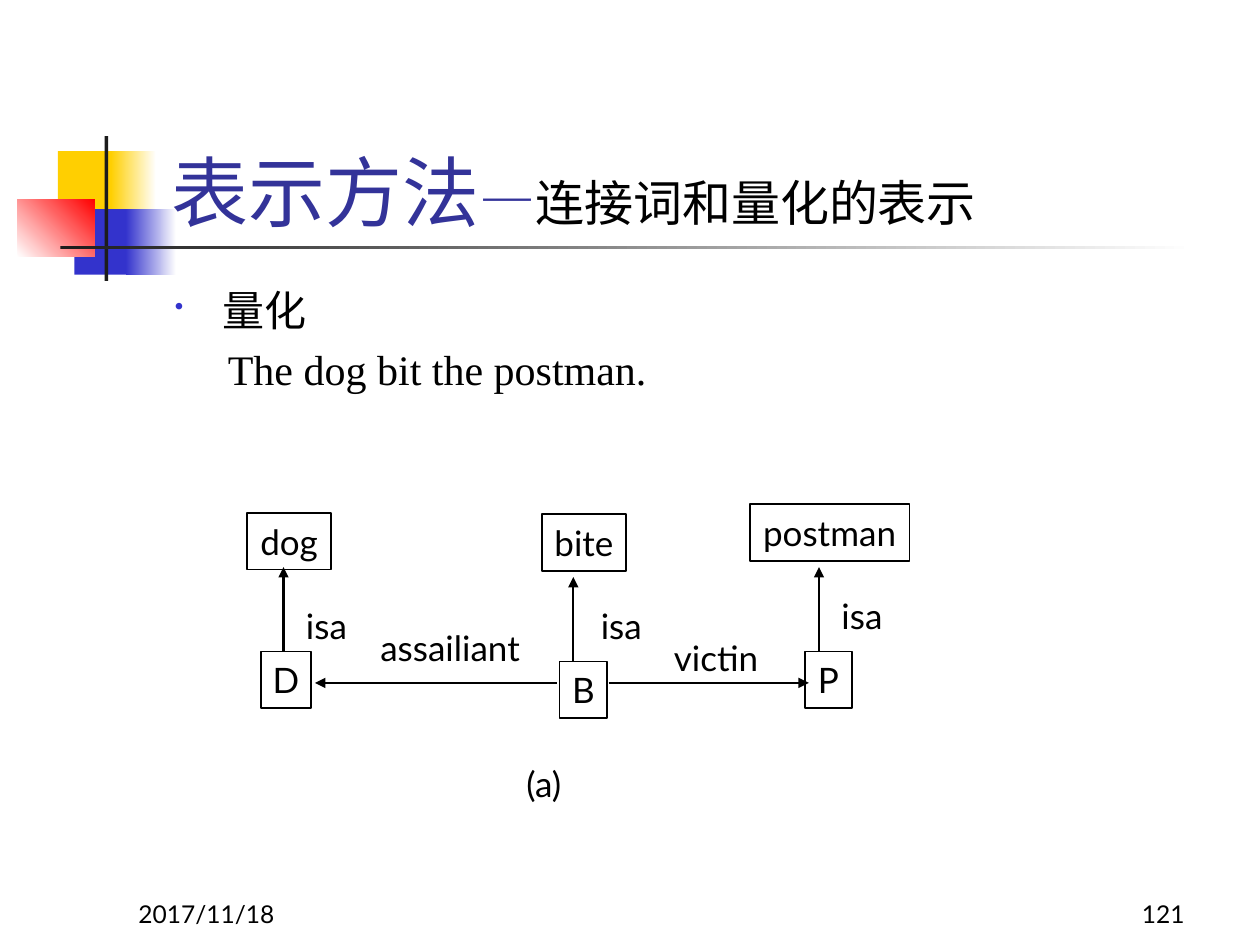
from dataclasses import dataclass

from lxml import etree
from pptx import Presentation
from pptx.dml.color import RGBColor
from pptx.enum.shapes import MSO_CONNECTOR, MSO_SHAPE
from pptx.enum.text import MSO_ANCHOR, PP_ALIGN
from pptx.oxml.ns import qn
from pptx.util import Inches, Pt

RECTANGLE = MSO_SHAPE.RECTANGLE
STRAIGHT = MSO_CONNECTOR.STRAIGHT
TOP, MIDDLE, BOTTOM = MSO_ANCHOR.TOP, MSO_ANCHOR.MIDDLE, MSO_ANCHOR.BOTTOM
LEFT, CENTER, RIGHT = PP_ALIGN.LEFT, PP_ALIGN.CENTER, PP_ALIGN.RIGHT


@dataclass(frozen=True)
class Theme:
    font: str = "Lato"
    body_font: str = "Times New Roman"
    ink: str = "000000"
    paper: str = "FFFFFF"
    title: str = "333399"
    yellow: str = "FFCF01"
    blue: str = "3333CC"
    red: str = "FF0000"
    dark: str = "1C1C1C"
    title_size: int = 44
    dash_size: int = 32
    subtitle_size: int = 28
    body_size: int = 24
    label_size: int = 20
    footer_size: int = 14


class SlideBuilder:
    def __init__(self, slide, theme):
        self.slide = slide
        self.theme = theme

    def style(self, run, size, color=None, font=None):
        run.font.size = Pt(size)
        run.font.name = font or self.theme.font
        run.font.color.rgb = RGBColor.from_string(color or self.theme.ink)

    def rectangle(self, left, top, width, height):
        rectangle = self.slide.shapes.add_shape(
            RECTANGLE, Inches(left), Inches(top), Inches(width), Inches(height))
        rectangle.shadow.inherit = False
        return rectangle

    def block(self, box, *colors, angle=0):
        block = self.rectangle(*box)
        block.line.fill.background()
        if len(colors) == 1:
            block.fill.solid()
            block.fill.fore_color.rgb = RGBColor.from_string(colors[0])
            return
        block.fill.gradient()
        block.fill.gradient_angle = angle
        for stop, color in zip(block.fill.gradient_stops, colors):
            stop.color.rgb = RGBColor.from_string(color)

    def node(self, word, left, top, width):
        node = self.rectangle(left, top, width, 0.45)
        node.fill.background()
        node.line.color.rgb = RGBColor.from_string(self.theme.ink)
        node.line.width = Pt(1)
        frame = node.text_frame
        frame.word_wrap = False
        frame.vertical_anchor = MIDDLE
        frame.text = word
        paragraph = frame.paragraphs[0]
        paragraph.alignment = CENTER
        self.style(paragraph.runs[0], self.theme.label_size)

    def text_area(self, left, top, width, height, anchor=TOP):
        area = self.slide.shapes.add_textbox(
            Inches(left), Inches(top), Inches(width), Inches(height))
        area.text_frame.word_wrap = True
        area.text_frame.vertical_anchor = anchor
        return area.text_frame

    def label(self, words, box, size, align=LEFT, anchor=TOP):
        frame = self.text_area(*box, anchor=anchor)
        frame.text = words
        frame.paragraphs[0].alignment = align
        self.style(frame.paragraphs[0].runs[0], size)

    def title(self, box, parts):
        paragraph = self.text_area(*box, anchor=BOTTOM).paragraphs[0]
        for words, size, color in parts:
            run = paragraph.add_run()
            run.text = words
            self.style(run, size, color)

    def body(self, box, bullet_line, example):
        frame = self.text_area(*box)
        frame.text = bullet_line
        frame.add_paragraph().text = example
        for paragraph, margin, indent in zip(frame.paragraphs, (0.38, 0.42), (-0.38, 0)):
            paragraph.space_before = Pt(0.2 * self.theme.body_size)
            self.style(paragraph.runs[0], self.theme.body_size, font=self.theme.body_font)
            properties = paragraph._p.get_or_add_pPr()
            properties.set("marL", str(Inches(margin)))
            properties.set("indent", str(Inches(indent)))
        properties = frame.paragraphs[0]._p.get_or_add_pPr()
        color = etree.SubElement(properties, qn("a:buClr"))
        etree.SubElement(color, qn("a:srgbClr"), val=self.theme.blue)
        etree.SubElement(properties, qn("a:buSzPct"), val="60000")
        etree.SubElement(properties, qn("a:buChar"), char="•")

    def arrow(self, start, end, weight=1):
        arrow = self.slide.shapes.add_connector(
            STRAIGHT, *(Inches(value) for value in (*start, *end)))
        arrow.line.color.rgb = RGBColor.from_string(self.theme.ink)
        arrow.line.width = Pt(weight)
        etree.SubElement(arrow.line._get_or_add_ln(), qn("a:tailEnd"), type="triangle")
        etree.SubElement(arrow._element.spPr, qn("a:effectLst"))


def main():
    presentation = Presentation()
    presentation.slide_width, presentation.slide_height = Inches(10), Inches(7.5)
    theme = Theme()
    page = SlideBuilder(presentation.slides.add_slide(presentation.slide_layouts[6]), theme)

    page.block((0.46, 1.2, 0.48, 0.52), theme.yellow)
    page.block((0.88, 1.2, 0.36, 0.52), theme.yellow, theme.paper)
    page.block((0.59, 1.66, 0.46, 0.52), theme.blue)
    page.block((1, 1.66, 0.4, 0.52), theme.blue, theme.paper)
    page.block((0.14, 1.58, 0.61, 0.46), theme.paper, theme.red, angle=45)
    page.block((0.83, 1.08, 0.03, 1.15), theme.dark)
    page.block((0.48, 1.95, 9, 0.03), theme.dark, theme.paper)

    for words, left, align in (("2017/11/18", 1, LEFT), ("121", 7.42, RIGHT)):
        page.label(words, (left, 6.92, 2.08, 0.5), theme.footer_size, align, BOTTOM)

    page.title((1.26, 0.68, 8.52, 1.25), (
        ("表示方法", theme.title_size, theme.title),
        ("—", theme.dash_size, theme.title),
        ("连接词和量化的表示", theme.subtitle_size, theme.ink),
    ))
    page.body((1.29, 2.21, 8.5, 4.5), "量化", "The dog bit the postman.")

    for word, left, top, width in (
        ("dog", 1.96, 4.07, 0.67),
        ("postman", 5.95, 4, 1.27),
        ("P", 6.39, 5.17, 0.37),
        ("D", 2.07, 5.17, 0.4),
        ("bite", 4.3, 4.08, 0.67),
        ("B", 4.44, 5.25, 0.38),
    ):
        page.node(word, left, top, width)

    isa_rise = 0.67
    for x, bottom, weight in ((6.5, 5.17, 1), (2.25, 5.17, 1.5), (4.55, 5.25, 1)):
        page.arrow((x, bottom), (x, bottom - isa_rise), weight)

    role_level = 5.42
    for start, end in ((4.83, 6.42), (4.42, 2.5)):
        page.arrow((start, role_level), (end, role_level))

    for words, left, top, width in (
        ("isa", 2.33, 4.75, 0.58),
        ("isa", 4.67, 4.75, 0.58),
        ("isa", 6.58, 4.67, 0.58),
        ("assailiant", 2.92, 4.92, 1.83),
        ("victin", 5.25, 5, 1),
        ("(a)", 4.08, 6, 0.83),
    ):
        page.label(words, (left, top, width, 0.43), theme.label_size)

    presentation.save("out.pptx")


if __name__ == "__main__":
    main()
